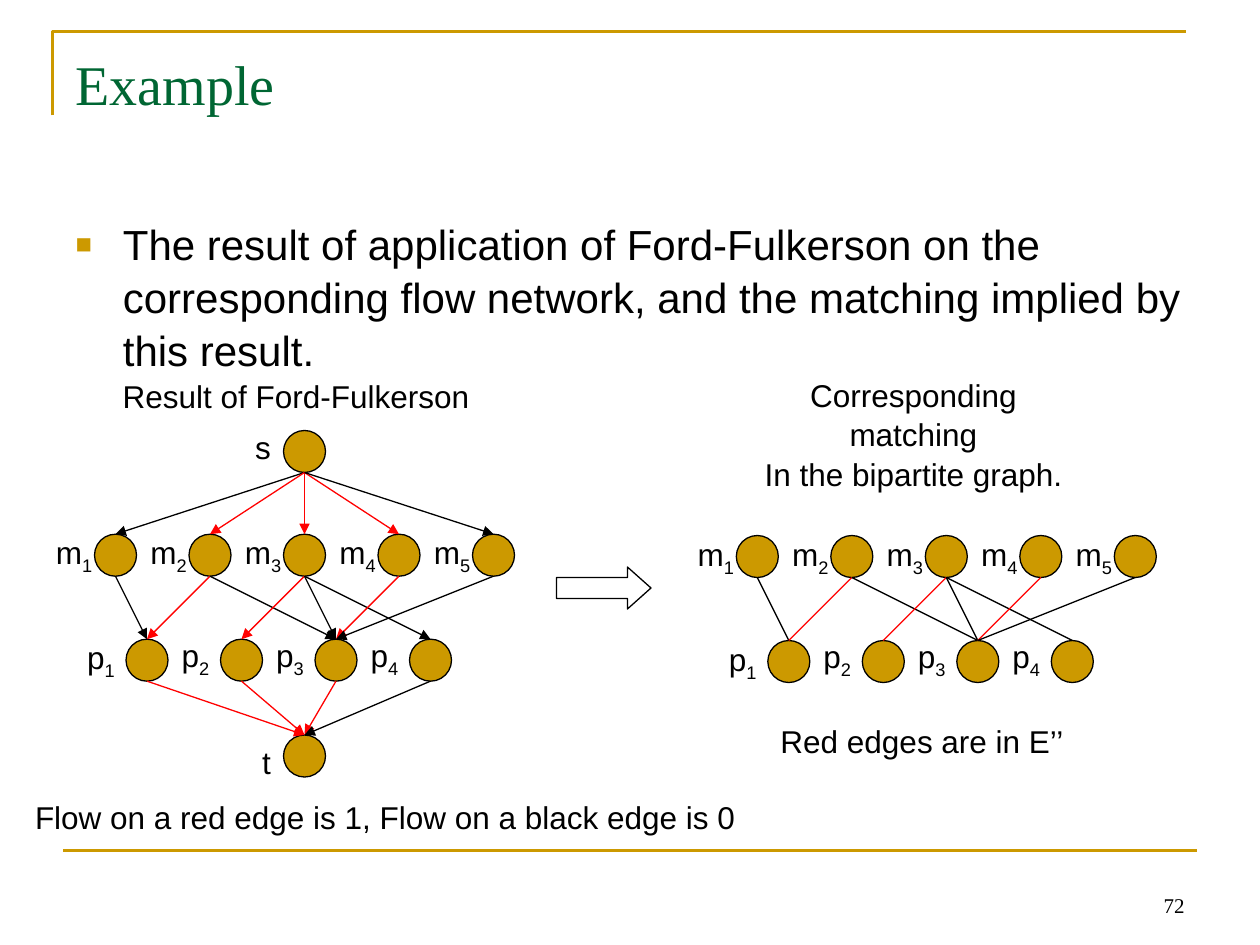
from lxml import etree
from pptx import Presentation
from pptx import util as u
from pptx.dml.color import RGBColor
from pptx.enum import shapes, text
from pptx.oxml.ns import qn

SCALE = 9525  # EMU per px, 96 px to the inch
COLORS = {"gold": "CC9900", "green": "006633", "black": "000000", "red": "FF0101"}
NODE = 32  # node diameter
STEP = 72  # gap between neighbouring nodes
ROW = 80   # drop from the m row to the p row
SHIFT = 24  # indent of the p row

# (m index, p index, colour)
MATCH_EDGES = [
    (0, 0, "black"), (1, 0, "red"), (1, 2, "black"), (2, 1, "red"),
    (2, 2, "black"), (2, 3, "black"), (3, 2, "red"), (4, 2, "black"),
]
SOURCE_COLORS = ["black", "red", "red", "red", "black"]
SINK_COLORS = ["red", "red", "red", "black"]


def px(value):
    return u.Emu(value * SCALE)


def rgb(name):
    return RGBColor.from_string(COLORS[name])


def set_all(target, **values):
    for name, value in values.items():
        setattr(target, name, value)


def place(shape, left, top, width, height):
    set_all(shape, left=px(left), top=px(top), width=px(width), height=px(height))


def style_line(line, color="black", width=0.75):
    line.color.rgb = rgb(color)
    line.width = u.Pt(width)


def style_font(font, size, name="Arial", color="black"):
    set_all(font, size=u.Pt(size), name=name, bold=False)
    font.color.rgb = rgb(color)


def add_line(slide, start, end, color, width=0.75, arrow=False):
    line = slide.shapes.add_connector(
        shapes.MSO_CONNECTOR.STRAIGHT, *map(px, start + end))
    style_line(line.line, color, width)
    if arrow:
        etree.SubElement(line.line._get_or_add_ln(), qn("a:tailEnd"), type="triangle")
    etree.SubElement(line._element.spPr, qn("a:effectLst"))


def add_node(slide, left, top):
    node = slide.shapes.add_shape(
        shapes.MSO_SHAPE.OVAL, *map(px, (left, top, NODE, NODE)))
    node.shadow.inherit = False
    node.fill.solid()
    node.fill.fore_color.rgb = rgb("gold")
    style_line(node.line)


def add_label(slide, box, lines, subscript=""):
    label = slide.shapes.add_textbox(*map(px, box))
    frame = label.text_frame
    frame.word_wrap = False
    for index, words in enumerate(lines):
        paragraph = frame.add_paragraph() if index else frame.paragraphs[0]
        set_all(paragraph, alignment=text.PP_ALIGN.CENTER, line_spacing=1.05)
        style_font(paragraph.font, 18)
        paragraph.add_run().text = words
        if subscript:
            run = paragraph.add_run()
            run.text = subscript
            run.font._element.set("baseline", "-25000")


def add_bipartite(slide, left, top, arrow):
    """Draw the m row, the p row and the edges between them."""
    p_left, p_top = left + SHIFT, top + ROW
    for index in range(5):
        x = left + index * STEP
        add_node(slide, x, top)
        add_label(slide, (x - 39, top - 7, 47, 42), ["m"], str(index + 1))
    for index in range(4):
        x = p_left + index * STEP
        add_node(slide, x, p_top)
        rise = 9 if index else 7
        add_label(slide, (x - 39, p_top - rise, 40, 42), ["p"], str(index + 1))
    half = NODE // 2
    for m, p, color in MATCH_EDGES:
        add_line(slide, (left + m * STEP + half, top + NODE),
                 (p_left + p * STEP + half, p_top), color, arrow=arrow)


def add_flow_network(slide, left, top):
    """Draw the bipartite graph with its source and sink."""
    add_bipartite(slide, left, top, arrow=True)
    hub, source_top, sink_top = left + 2 * STEP, 328, 560
    add_node(slide, hub, source_top)
    add_node(slide, hub, sink_top)
    add_label(slide, (185, 320, 31, 38), ["s"])
    add_label(slide, (190, 560, 26, 38), ["t"])
    half = NODE // 2
    for index, color in enumerate(SOURCE_COLORS):
        add_line(slide, (hub + half, source_top + NODE),
                 (left + index * STEP + half, top), color, arrow=True)
    for index, color in enumerate(SINK_COLORS):
        add_line(slide, (left + SHIFT + index * STEP + half, top + ROW + NODE),
                 (hub + half, sink_top), color, arrow=True)


def add_frame(slide):
    """Draw the corner rule, the bottom rule and the slide number."""
    builder = slide.shapes.build_freeform(40, 88, scale=SCALE)
    builder.add_line_segments([(40, 24), (904, 24)], close=False)
    corner = builder.convert_to_shape()
    corner.shadow.inherit = False
    corner.fill.background()
    style_line(corner.line, "gold", 1.5)
    add_line(slide, (48, 648), (912, 648), "gold", 1.5)

    number = slide.shapes.add_textbox(*map(px, (688, 656, 224, 48)))
    set_all(number.text_frame, word_wrap=True, vertical_anchor=text.MSO_ANCHOR.BOTTOM)
    paragraph = number.text_frame.paragraphs[0]
    paragraph.text = "72"
    paragraph.alignment = text.PP_ALIGN.RIGHT
    style_font(paragraph.runs[0].font, 12, "Times New Roman")


def fill_title(slide):
    title = slide.shapes.title
    place(title, 48, 33, 864, 116)
    set_all(title.text_frame, text="Example", word_wrap=True,
            vertical_anchor=text.MSO_ANCHOR.TOP)
    paragraph = title.text_frame.paragraphs[0]
    paragraph.alignment = text.PP_ALIGN.LEFT
    style_font(paragraph.runs[0].font, 32, "Times New Roman", "green")


def fill_body(slide):
    body = slide.placeholders[1]
    place(body, 48, 160, 864, 476)
    set_all(body.text_frame, word_wrap=True, vertical_anchor=text.MSO_ANCHOR.TOP,
            text="The result of application of Ford-Fulkerson on the corresponding "
                 "flow network, and the matching implied by this result.")
    paragraph = body.text_frame.paragraphs[0]
    set_all(paragraph, line_spacing=1.05, space_before=u.Pt(0))
    properties = paragraph._element.get_or_add_pPr()
    properties.set("marL", str(px(36)))
    properties.set("indent", str(px(-36)))
    color = etree.SubElement(properties, qn("a:buClr"))
    etree.SubElement(color, qn("a:srgbClr"), val=COLORS["gold"])
    etree.SubElement(properties, qn("a:buSzPct"), val="65000")
    etree.SubElement(properties, qn("a:buFont"), typeface="Arial")
    etree.SubElement(properties, qn("a:buChar"), char="■")
    style_font(paragraph.runs[0].font, 24)


def add_block_arrow(slide):
    arrow = slide.shapes.add_shape(
        shapes.MSO_SHAPE.RIGHT_ARROW, *map(px, (424, 432, 72, 32)))
    arrow.shadow.inherit = False
    arrow.adjustments[0], arrow.adjustments[1] = 0.5, 0.56
    arrow.fill.background()
    style_line(arrow.line)


def main():
    presentation = Presentation()
    set_all(presentation, slide_width=px(960), slide_height=px(720))
    slide = presentation.slides.add_slide(presentation.slide_layouts[1])
    add_frame(slide)
    fill_title(slide)
    fill_body(slide)

    # Matching on the right, flow network on the left
    add_bipartite(slide, 561, 408, arrow=False)
    add_flow_network(slide, 72, 407)
    add_block_arrow(slide)

    # Captions
    add_label(slide, (556, 280, 280, 67),
              ["Corresponding matching", "In the bipartite graph."])
    add_label(slide, (84, 281, 283, 38), ["Result of Ford-Fulkerson"])
    add_label(slide, (17, 602, 553, 38),
              ["Flow on a red edge is 1, Flow on a black edge is 0"])
    add_label(slide, (585, 544, 235, 38), ["Red edges are in E’’"])
    presentation.save("out.pptx")


if __name__ == "__main__":
    main()
